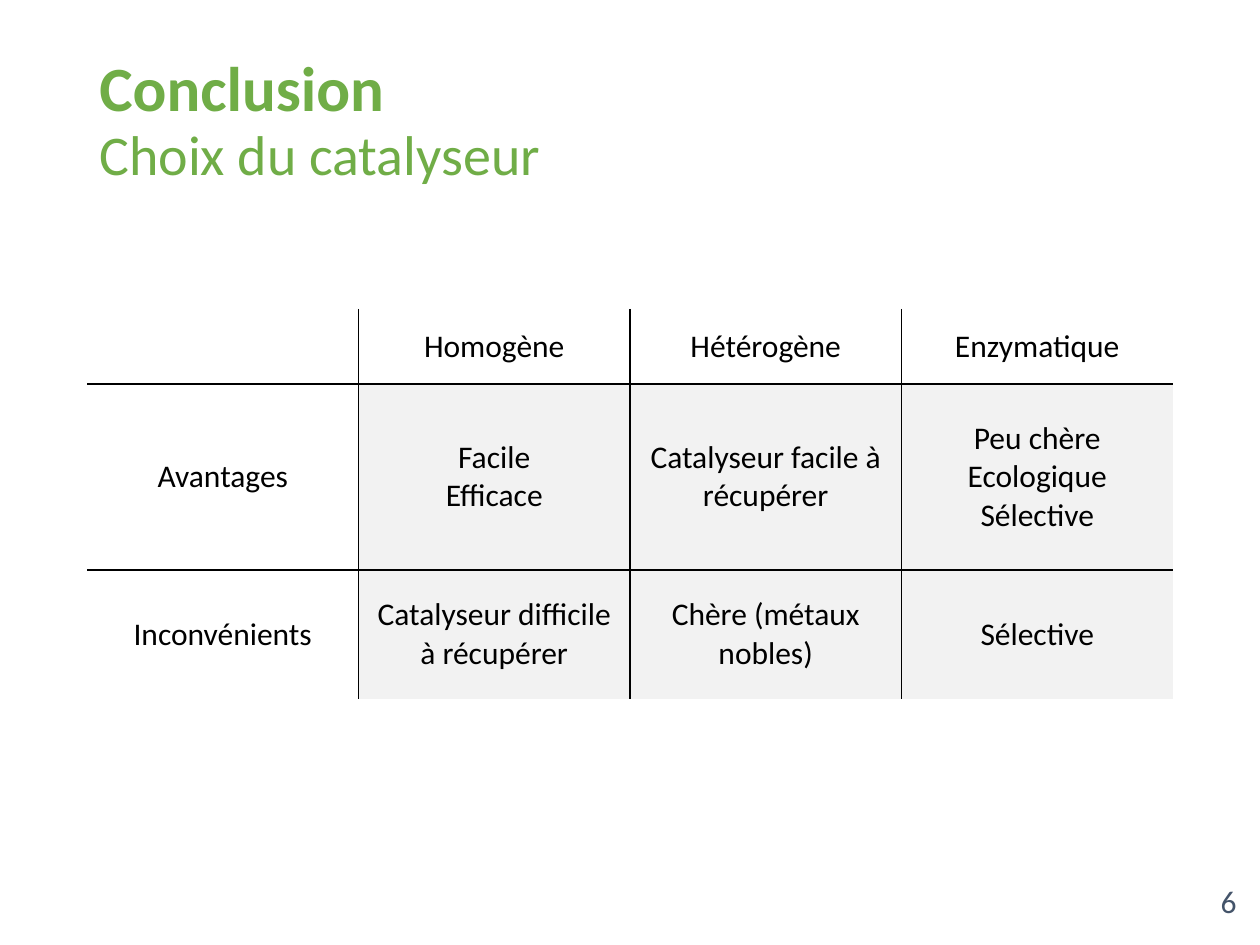
from lxml.etree import SubElement
from pptx import Presentation
from pptx.dml.color import RGBColor
from pptx.enum.text import MSO_ANCHOR as Anchor, PP_ALIGN as Align
from pptx.oxml.ns import qn
from pptx.util import Emu, Pt

# Content
TEXTS = [  # text, left, top, width, height, size, bold, colour, align, line spacing
    ("Conclusion", 87, 50, 1086, 82, 36, True, "70AD47", Align.LEFT, 0.9),
    ("Choix du catalyseur", 87, 116, 1086, 82, 32, False, "70AD47", Align.LEFT, 0.9),
    ("6", 965, 876, 284, 50, 18, False, "44546A", Align.RIGHT, 1.0),
]
ROWS = [
    ["", "Homogène", "Hétérogène", "Enzymatique"],
    ["Avantages", "Facile\nEfficace", "Catalyseur facile à récupérer",
     "Peu chère Ecologique\nSélective"],
    ["Inconvénients", "Catalyseur difficile à récupérer",
     "Chère (métaux nobles)", "Sélective"],
]
TABLE_LEFT, TABLE_TOP, TABLE_WIDTH = 87, 309, 1086
ROW_HEIGHTS = [75, 186, 129]
FONT = "Calibri"
PLAIN_STYLE = "{2D5ABB26-0587-4C30-8999-92F81FD0307C}"
SCALE = 914400 / 126


def px(length):
    return Emu(round(length * SCALE))


def color(value):
    return RGBColor.from_string(value)


def style_text(frame, size, value, align, bold=False, spacing=1.0):
    for para in frame.paragraphs:
        para.alignment = align
        para.line_spacing = spacing
        para.font.size = Pt(size)
        for span in para.runs:
            span.font.name = FONT
            span.font.size = Pt(size)
            span.font.bold = bold
            span.font.color.rgb = color(value)


def add_border(cell, side):
    line = SubElement(cell._tc.get_or_add_tcPr(), qn("a:ln" + side), w=str(Pt(1)))
    fill = SubElement(line, qn("a:solidFill"))
    SubElement(fill, qn("a:srgbClr"), val="000000")


deck = Presentation()
deck.slide_width, deck.slide_height = px(1260), px(945)
page = deck.slides.add_slide(deck.slide_layouts[6])

# Headings and page number
for text, left, top, width, height, size, bold, value, align, spacing in TEXTS:
    box = page.shapes.add_textbox(px(left), px(top), px(width), px(height))
    frame = box.text_frame
    frame.word_wrap = True
    frame.vertical_anchor = Anchor.MIDDLE
    frame.text = text
    style_text(frame, size, value, align, bold, spacing)

# Comparison table
row_count, column_count = len(ROWS), len(ROWS[0])
table = page.shapes.add_table(
    row_count, column_count, px(TABLE_LEFT), px(TABLE_TOP),
    px(TABLE_WIDTH), px(sum(ROW_HEIGHTS))).table
table.first_row = table.horz_banding = False
table._tbl.tblPr.find(qn("a:tableStyleId")).text = PLAIN_STYLE
for column in table.columns:
    column.width = px(TABLE_WIDTH / column_count)

for r, (texts, height) in enumerate(zip(ROWS, ROW_HEIGHTS)):
    table.rows[r].height = px(height)
    for c, text in enumerate(texts):
        cell = table.cell(r, c)
        cell.text_frame.text = text
        cell.vertical_anchor = Anchor.MIDDLE
        style_text(cell.text_frame, 18, "000000", Align.CENTER)
        # Only the inner grid lines are drawn
        inner = {"L": c > 0, "R": c < column_count - 1,
                 "T": r > 0, "B": r < row_count - 1}
        for side, shown in inner.items():
            if shown:
                add_border(cell, side)
        if r and c:
            cell.fill.solid()
            cell.fill.fore_color.rgb = color("F2F2F2")
        else:
            cell.fill.background()

deck.save("out.pptx")
